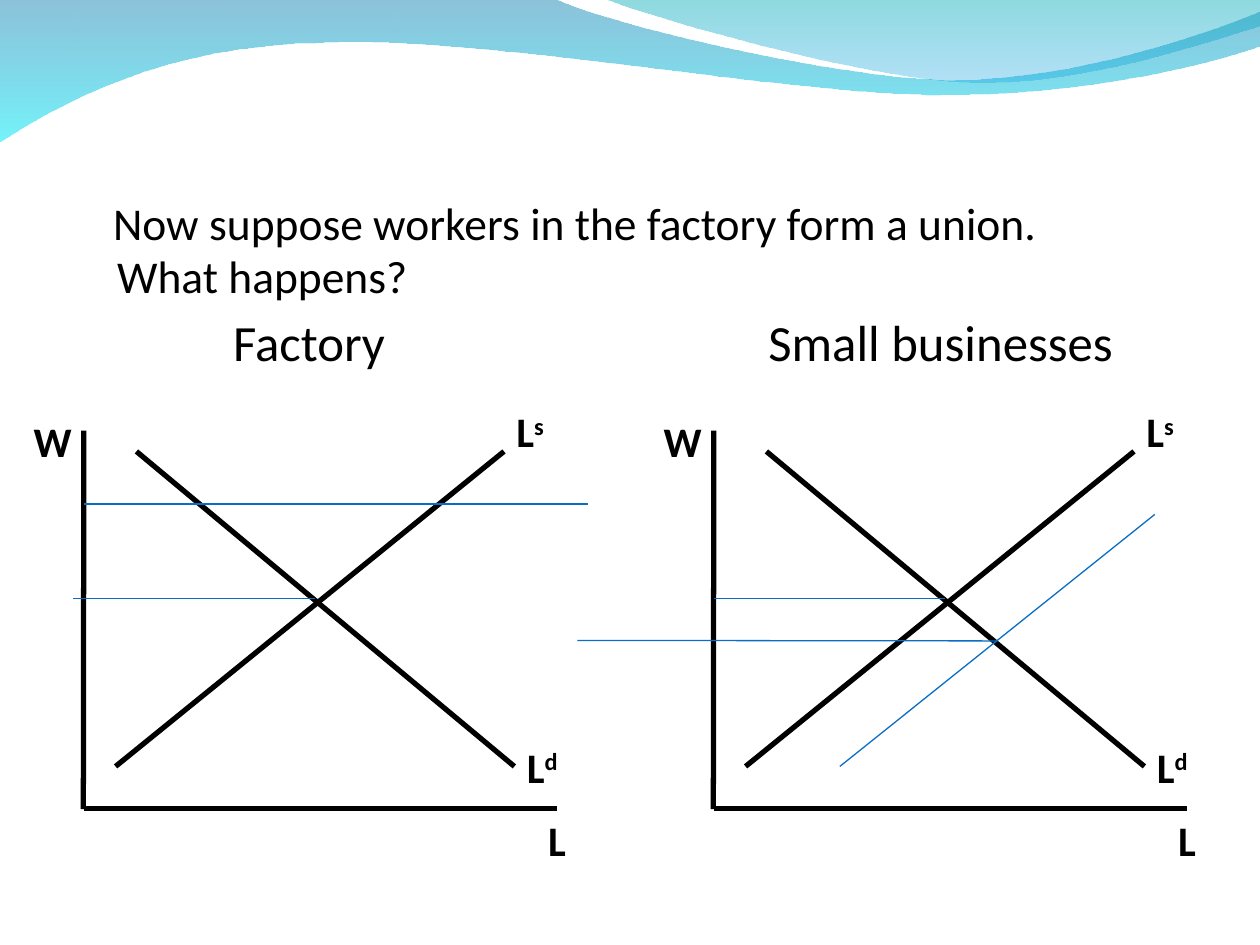
from lxml import etree
from pptx import Presentation
from pptx import util as u
from pptx.dml.color import RGBColor
from pptx.enum import shapes, text
from pptx.oxml.ns import qn

COLORS = {"ink": "000000", "wage": "0A6DC6", "steel": "0079AF",
          "cyan": "00EBF8", "teal": "00ADB6", "sky": "009BE5"}
FONT = "Calibri"
PANEL_STEP = 12.7
INSET_X, INSET_Y = 0.25, 0.13
INDENT = 0.76

WAVES = [
    ([(-0.01, -0.03), (11.18, -0.03),
      (12.09, 0.43, 16.87, 1.6, 19.25, 1.6),
      (21.67, 1.6, 24.33, 0.66, 25.4, 0.23), (25.43, 0.91),
      (24.97, 1.12, 22.1, 1.93, 18.95, 1.91),
      (15.8, 1.91, 9.7, 0.71, 6.53, 0.86),
      (3.28, 0.89, 1.17, 2.11, -0.03, 2.87)],
     [("steel", 45), ("cyan", 55)]),
    ([(12.17, -0.03),
      (12.93, 0.28, 17.32, 1.57, 19.53, 1.65),
      (21.74, 1.75, 24.41, 0.81, 25.4, 0.53), (25.4, -0.01)],
     [("teal", 45), ("sky", 30)]),
]

QUESTION = ("Now suppose workers in the factory form a union.", 1.27, 3.81, 22.86, 13.77, 26)
PROMPT = ("What happens?", 2.11, 4.88, 9.32, 1.37, 26)
TITLES = [
    ("Factory", 4.45, 6.13, 4.01, 1.5, 29),
    ("Small businesses", 15.24, 6.13, 7.82, 1.5, 29),
]

PANEL_LINES = [
    (1.69, 8.68, 1.68, 16.31),
    (1.69, 16.3, 11.22, 16.3),
    (2.75, 9.1, 10.37, 15.45),
    (10.16, 9.1, 2.33, 15.45),
]
PANEL_LABELS = [
    ("L", "s", 10.16, 8.05, 1.27),
    ("L", "d", 10.37, 14.81, 1.27),
    ("L", "", 10.8, 16.3, 1.06),
    ("W", "", 0.43, 8.24, 1.47),
]
LABEL_HEIGHT = 1.27
WAGE_LINES = [
    (1.48, 12.07, 6.35, 12.07),
    (14.39, 12.07, 19.05, 12.07),
    (1.69, 10.16, 11.85, 10.16),
    (16.93, 15.45, 23.28, 10.37),
    (11.64, 12.91, 20.11, 12.92),
]


def color(name):
    return RGBColor.from_string(COLORS[name])


def add_wave(page, steps, stops):
    points = [(u.Cm(x), u.Cm(y)) for step in steps
              for x, y in zip(step[::2], step[1::2])]
    builder = page.shapes.build_freeform(*points[0], scale=1.0)
    builder.add_line_segments(points[1:], close=True)
    wave = builder.convert_to_shape()
    segments = iter(list(wave._element.iter(qn("a:lnTo"))))
    for step in steps[1:]:
        segment = next(segments)
        if len(step) == 6:
            curve = etree.Element(qn("a:cubicBezTo"))
            segment.addprevious(curve)
            for part in (segment, next(segments), next(segments)):
                curve.append(part[0])
                part.getparent().remove(part)
    wave.shadow.inherit = False
    wave.line.fill.background()
    wave.fill.gradient()
    wave.fill.gradient_angle = 270
    for stop, (name, opacity) in zip(wave.fill.gradient_stops, stops):
        stop.color.rgb = color(name)
    for node, (name, opacity) in zip(wave._element.iter(qn("a:srgbClr")), stops):
        etree.SubElement(node, qn("a:alpha"), val=str(opacity * 1000))


def add_line(page, ends, name, width):
    line = page.shapes.add_connector(shapes.MSO_CONNECTOR.STRAIGHT, *map(u.Cm, ends))
    line.line.color.rgb = color(name)
    line.line.width = u.Pt(width)
    etree.SubElement(line._element.spPr, qn("a:effectLst"))


def add_text(page, words, left, top, width, height, size, bold=False, raised=""):
    box = page.shapes.add_textbox(*map(u.Cm, (left, top, width, height)))
    frame = box.text_frame
    frame.word_wrap = True
    frame.vertical_anchor = text.MSO_ANCHOR.TOP
    frame.margin_left = frame.margin_right = u.Cm(INSET_X)
    frame.margin_top = frame.margin_bottom = u.Cm(INSET_Y)
    frame.text = words
    para = frame.paragraphs[0]
    if raised:
        span = para.add_run()
        span.text = raised
        span.font._element.set("baseline", "30000")
    for span in para.runs:
        span.font.name = FONT
        span.font.size = u.Pt(size)
        span.font.bold = bold
        span.font.color.rgb = color("ink")
    return para


def main():
    deck = Presentation()
    deck.slide_width, deck.slide_height = u.Cm(25.4), u.Cm(19.05)
    page = deck.slides.add_slide(deck.slide_layouts[6])
    for steps, stops in WAVES:
        add_wave(page, steps, stops)
    question = add_text(page, *QUESTION)
    question._p.get_or_add_pPr().set("marL", str(u.Cm(INDENT)))
    add_text(page, *PROMPT)
    for shift in (0, PANEL_STEP):
        for x1, y1, x2, y2 in PANEL_LINES:
            add_line(page, (x1 + shift, y1, x2 + shift, y2), "ink", 3)
        for words, raised, left, top, width in PANEL_LABELS:
            add_text(page, words, left + shift, top, width, LABEL_HEIGHT, 24, True, raised)
    for title in TITLES:
        add_text(page, *title)
    for ends in WAGE_LINES:
        add_line(page, ends, "wage", 0.75)
    deck.save("out.pptx")


if __name__ == "__main__":
    main()
